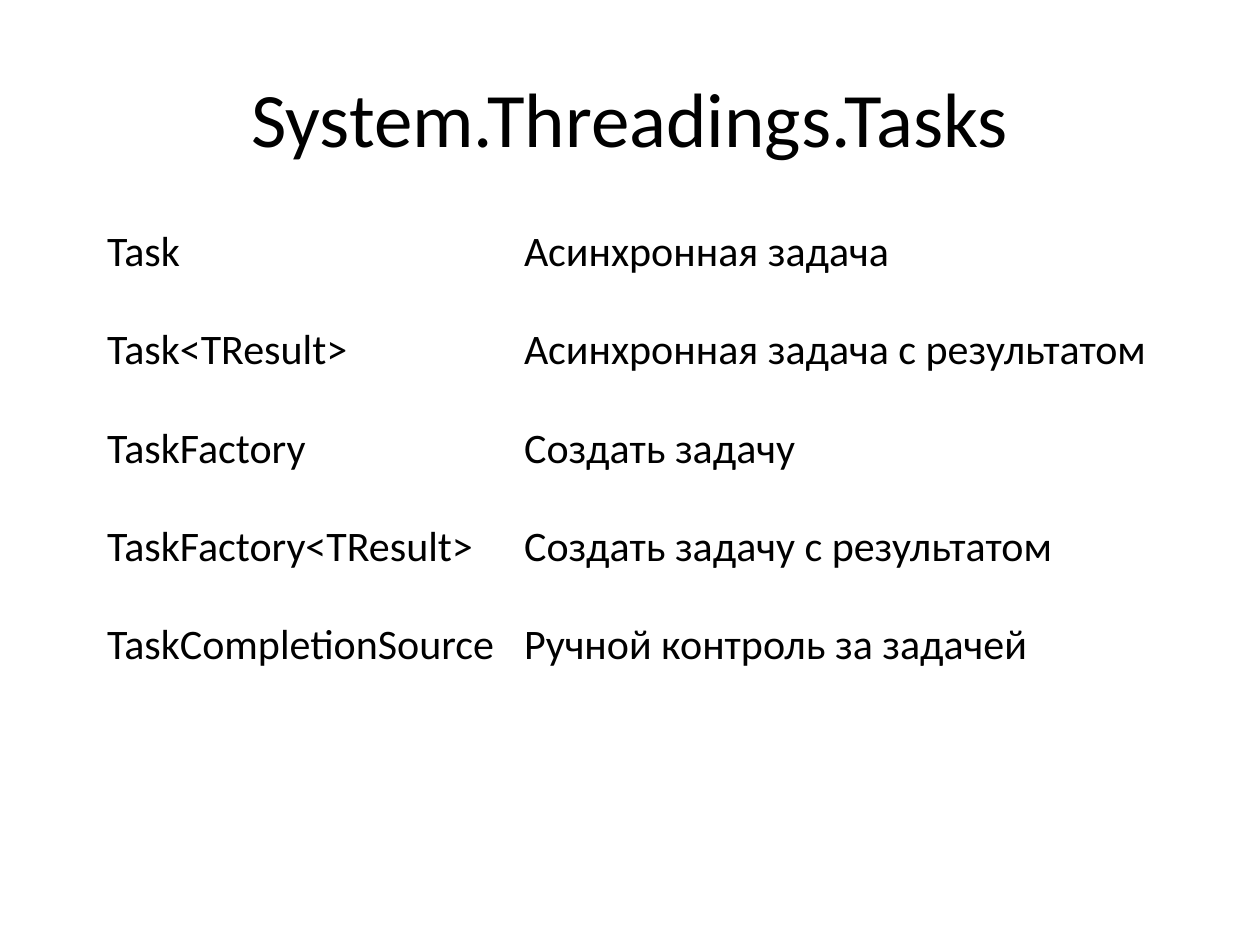
import pptx
import pptx.util
import pptx.dml.color
import pptx.enum.text
from pptx.util import Inches


def style(p, size, color):
    for r in p.runs:
        r.font.name = "Calibri"
        r.font.size = pptx.util.Pt(size)
        r.font.bold = False
        r.font.color.rgb = pptx.dml.color.RGBColor.from_string(color)


prs = pptx.Presentation()
prs.slide_width = Inches(10)
prs.slide_height = Inches(7.5)
s = prs.slides.add_slide(prs.slide_layouts[5])

title = s.shapes.title
title.left, title.top = Inches(0.5), Inches(0.3)
title.width, title.height = Inches(9), Inches(1.25)
tf = title.text_frame
tf.text = "System.Threadings.Tasks"
tf.vertical_anchor = pptx.enum.text.MSO_ANCHOR.MIDDLE
p = tf.paragraphs[0]
p.alignment = pptx.enum.text.PP_ALIGN.CENTER
style(p, 44, "000000")

rows = [
    ("Task", "Асинхронная задача"),
    ("Task<TResult>", "Асинхронная задача с результатом"),
    ("TaskFactory", "Создать задачу"),
    ("TaskFactory<TResult>", "Создать задачу с результатом"),
    ("TaskCompletionSource", "Ручной контроль за задачей"),
]
table = s.shapes.add_table(
    len(rows), 2, Inches(0.75), Inches(1.75), Inches(8.75), Inches(3.9)
).table
table.first_row = False
table.horz_banding = False
tbl_pr = table._tbl.tblPr
style_id = tbl_pr.find(pptx.oxml.ns.qn("a:tableStyleId"))
style_id.text = "{2D5ABB26-0587-4C30-8999-92F81FD0307C}"
table.columns[0].width = Inches(3.31)
table.columns[1].width = Inches(5.44)

for i, row in enumerate(rows):
    table.rows[i].height = Inches(0.78)
    for j, text in enumerate(row):
        cell = table.cell(i, j)
        cell.fill.background()
        cell.text_frame.text = text
        style(cell.text_frame.paragraphs[0], 24, "000000")

prs.save("out.pptx")
